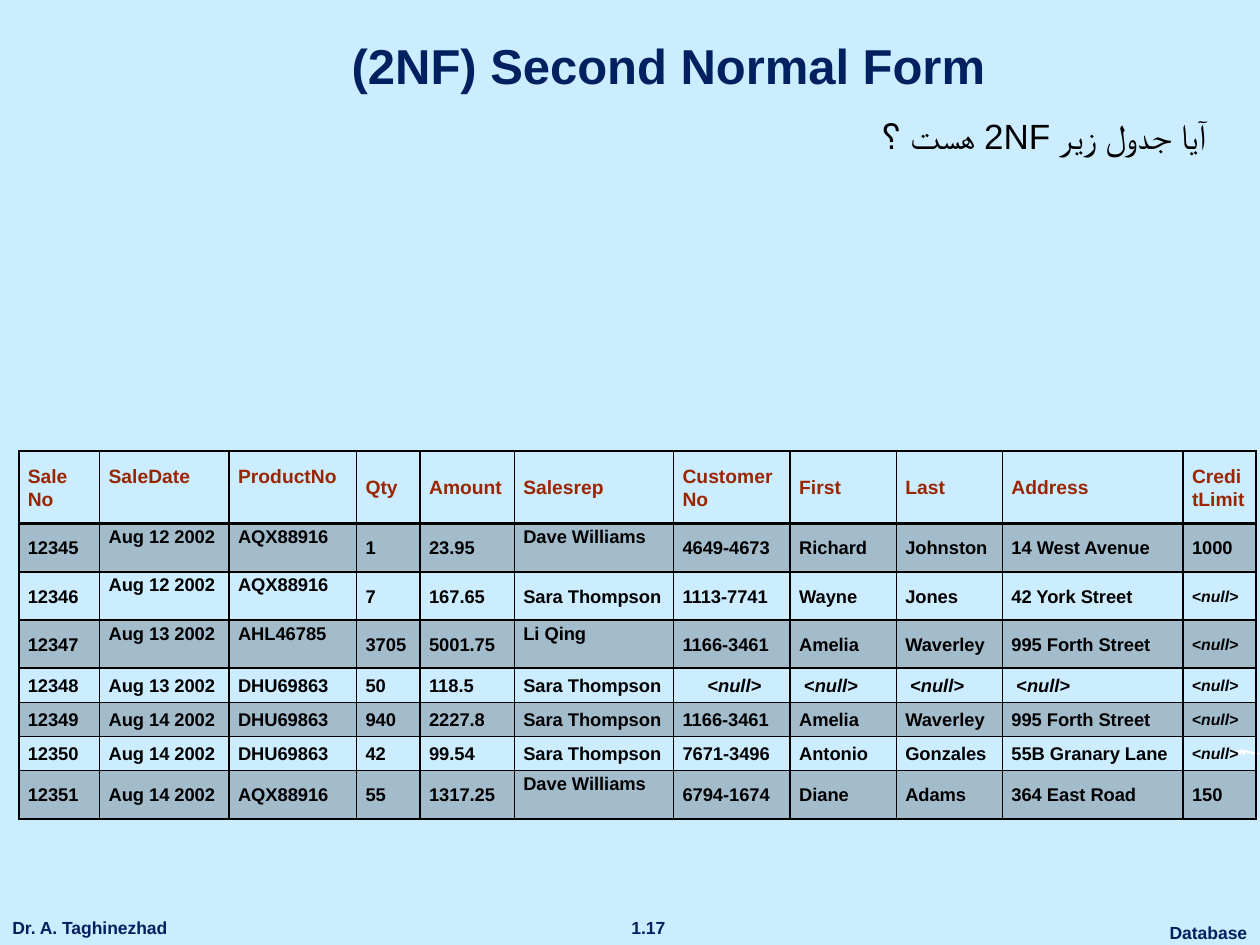
from pptx import Presentation
from pptx.dml.color import RGBColor
from pptx.enum import text as t
from pptx.oxml import parse_xml
from pptx.oxml.ns import nsdecls, qn
from pptx.util import Cm, Pt
from lxml import etree

HUES = {"back": "CCECFF", "navy": "002060", "head": "992600",
        "ink": "000000", "white": "FFFFFF"}
LEFT, MID, RIGHT = t.PP_ALIGN.LEFT, t.PP_ALIGN.CENTER, t.PP_ALIGN.RIGHT

COLS = [1.63, 2.61, 2.57, 1.28, 1.9, 3.21, 2.35, 2.14, 2.14, 3.64, 1.47]
ROWS = [1.47, 0.97, 0.97, 0.97, 0.69, 0.69, 0.69, 0.97]
NULL = "<null>"
LINE = 0.45  # height of one line of table text
HEAD = ["Sale No", "SaleDate", "ProductNo", "Qty", "Amount", "Salesrep",
        "CustomerNo", "First", "Last", "Address", "CreditLimit"]
SALES = [
    ["12345", "Aug 12 2002", "AQX88916", "1", "23.95", "Dave Williams",
     "4649-4673", "Richard", "Johnston", "14 West Avenue", "1000"],
    ["12346", "Aug 12 2002", "AQX88916", "7", "167.65", "Sara Thompson",
     "1113-7741", "Wayne", "Jones", "42 York Street", NULL],
    ["12347", "Aug 13 2002", "AHL46785", "3705", "5001.75", "Li Qing",
     "1166-3461", "Amelia", "Waverley", "995 Forth Street", NULL],
    ["12348", "Aug 13 2002", "DHU69863", "50", "118.5", "Sara Thompson",
     NULL, NULL, NULL, NULL, NULL],
    ["12349", "Aug 14 2002", "DHU69863", "940", "2227.8", "Sara Thompson",
     "1166-3461", "Amelia", "Waverley", "995 Forth Street", NULL],
    ["12350", "Aug 14 2002", "DHU69863", "42", "99.54", "Sara Thompson",
     "7671-3496", "Antonio", "Gonzales", "55B Granary Lane", NULL],
    ["12351", "Aug 14 2002", "AQX88916", "55", "1317.25", "Dave Williams",
     "6794-1674", "Diane", "Adams", "364 East Road", "150"],
]
# Cells (row, column) whose text sits one line higher
RAISED = {(r, c) for r in range(4) for c in (1, 2)} | {(1, 5), (3, 5), (7, 5)}


def color(name):
    return RGBColor.from_string(HUES[name])


def style(para, size, hue, bold=True, align=LEFT):
    para.alignment = align
    for run in para.runs:
        font = run.font
        font.name, font.size, font.bold = "Arial", Pt(size), bold
        font.color.rgb = color(hue)


def label(slide, box, words, size, hue, bold=True, align=LEFT, wrap=False):
    frame = slide.shapes.add_textbox(*map(Cm, box)).text_frame
    frame.word_wrap = wrap
    frame.text = words
    style(frame.paragraphs[0], size, hue, bold, align)
    return frame.paragraphs[0]


def footer(slide, box):
    x, y, w, h = box
    label(slide, (x + w - 2.08, y + 0.1, 2.08, h), "Database", 10, "navy",
          align=MID)
    label(slide, (x + 12.45, y, 1.24, h), "1.17", 10, "navy", align=MID)
    label(slide, (x, y, 3.73, h), "Dr. A. Taghinezhad", 10, "navy")


def swoosh(slide, box):
    x, y, w, h = box
    dots = [(0, 1), (0.1, 0.5), (0.25, 0.15), (0.4, 0), (0.6, 0.15),
            (0.85, 0.4), (1, 0.55), (0.92, 0.75), (0.7, 0.6), (0.52, 0.4),
            (0.52, 0.9), (0.4, 0.4), (0.4, 0.9), (0.3, 0.4), (0.3, 0.9),
            (0.2, 0.5), (0.05, 0.9)]
    pts = [(Cm(x + w * a), Cm(y + h * b)) for a, b in dots]
    build = slide.shapes.build_freeform(*pts[0])
    build.add_line_segments(pts[1:], close=True)
    shape = build.convert_to_shape()
    shape.shadow.inherit = False
    shape.fill.solid()
    shape.fill.fore_color.rgb = color("white")
    shape.line.fill.background()


def heading(slide, box):
    title = slide.shapes.title
    title.left, title.top, title.width, title.height = map(Cm, box)
    frame = title.text_frame
    frame.text = "(2NF) Second Normal Form"
    frame.vertical_anchor = t.MSO_ANCHOR.BOTTOM
    style(frame.paragraphs[0], 28, "navy", align=MID)


def question(slide, box):
    para = label(slide, box, "آیا جدول زیر 2NF هست ؟", 20, "ink",
                 bold=False, align=RIGHT, wrap=True)
    para._p.get_or_add_pPr().set("rtl", "1")


def border(cell, widths):
    # Lines come before the fill in the cell properties
    props = cell._tc.get_or_add_tcPr()
    for i, (side, width) in enumerate(widths.items()):
        props.insert(i, parse_xml(
            f'<a:ln{side} {nsdecls("a")} w="{Pt(width)}"><a:solidFill>'
            f'<a:srgbClr val="{HUES["ink"]}"/></a:solidFill></a:ln{side}>'))


def shade(cell, dark):
    if not dark:
        cell.fill.background()
        return
    cell.fill.solid()
    cell.fill.fore_color.rgb = color("ink")
    tone = cell._tc.tcPr.find(".//" + qn("a:srgbClr"))
    etree.SubElement(tone, qn("a:alpha")).set("val", "20000")


def entry(cell, words, row, col):
    last = col == len(COLS) - 1
    null = words == NULL
    cell.vertical_anchor = t.MSO_ANCHOR.MIDDLE
    cell.margin_left = Cm(0.28 if null and not last else 0.18)
    cell.margin_right = Cm(0.18)
    cell.margin_top = 0
    cell.margin_bottom = Cm(LINE if (row, col) in RAISED else 0)
    para = cell.text_frame.paragraphs[0]
    for part in ("<", "null>") if null else (words,):
        para.add_run().text = part
    para.line_spacing = 1.07
    size = 11 if row == 0 else 9 if null and last else 10.5
    style(para, size, "ink" if row else "head",
          align=MID if null and col == 6 else LEFT)
    if null:
        para.runs[1].font.italic = True
    shade(cell, row % 2 == 1)
    border(cell, {"L": 1, "R": 1, "T": 2 if row == 1 else 1,
                  "B": 1 if row else 2})


def sales(slide, box):
    table = slide.shapes.add_table(len(ROWS), len(COLS),
                                   *map(Cm, box)).table
    table.first_row = table.horz_banding = False
    for col, width in zip(table.columns, COLS):
        col.width = Cm(width)
    for row, height in zip(table.rows, ROWS):
        row.height = Cm(height)
    for r, line in enumerate([HEAD] + SALES):
        for c, words in enumerate(line):
            entry(table.cell(r, c), words, r, c)


def main():
    deck = Presentation()
    deck.slide_width, deck.slide_height = Cm(25.4), Cm(19.05)
    slide = deck.slides.add_slide(deck.slide_layouts[5])
    slide.background.fill.solid()
    slide.background.fill.fore_color.rgb = color("back")
    footer(slide, (0, 18.36, 25.4, 0.69))
    swoosh(slide, (24.77, 15.11, 0.63, 0.14))
    heading(slide, (2.26, 0.33, 22.43, 1.7))
    question(slide, (0.81, 2.18, 23.77, 1.2))
    sales(slide, (0.38, 9.09, sum(COLS), sum(ROWS)))
    deck.save("out.pptx")


if __name__ == "__main__":
    main()
